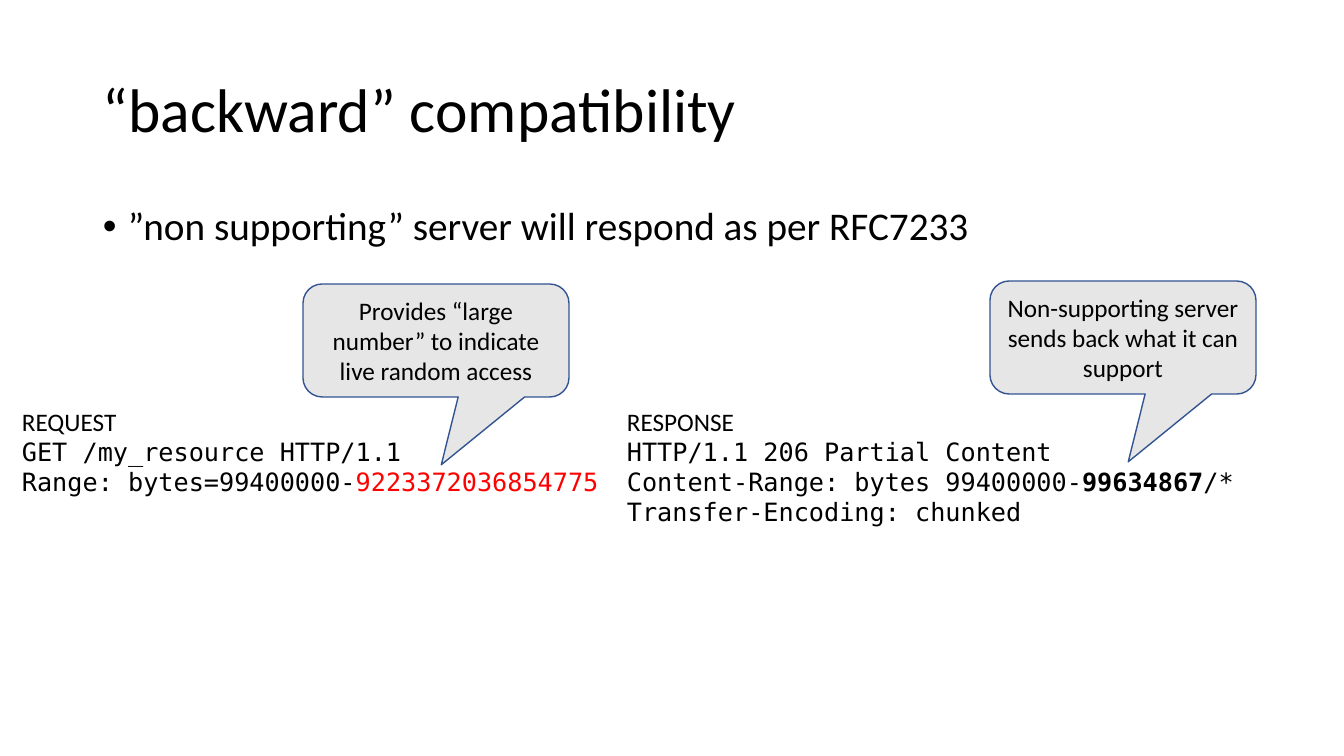
from dataclasses import dataclass

from lxml import etree
from pptx import Presentation
from pptx.dml.color import RGBColor
from pptx.enum.shapes import MSO_SHAPE
from pptx.enum.text import MSO_ANCHOR, PP_ALIGN
from pptx.oxml.ns import qn
from pptx.util import Pt

CALLOUT = MSO_SHAPE.ROUNDED_RECTANGULAR_CALLOUT
MIDDLE, TOP = MSO_ANCHOR.MIDDLE, MSO_ANCHOR.TOP
LEFT, CENTER = PP_ALIGN.LEFT, PP_ALIGN.CENTER
PX = 12192000 / 1344


@dataclass(frozen=True)
class Theme:
    sans: str = "Calibri"
    mono: str = "DejaVu Sans Mono"
    text: str = "000000"
    highlight: str = "FF0000"
    callout_fill: str = "E7E6E6"
    callout_line: str = "325491"
    title_size: int = 44
    bullet_size: int = 28
    body_size: int = 18


THEME = Theme()


def px(n):
    return round(n * PX)


def write(p, text, size=THEME.body_size, font=THEME.sans, color=THEME.text,
          bold=False, align=LEFT, spacing=1.0):
    """Append a formatted run to paragraph p and set the paragraph's layout."""
    p.alignment, p.line_spacing = align, spacing
    r = p.add_run()
    r.text = text
    r.font.name, r.font.size, r.font.bold = font, Pt(size), bold
    r.font.color.rgb = RGBColor.from_string(color)


prs = Presentation()
prs.slide_width, prs.slide_height = px(1344), px(756)
s = prs.slides.add_slide(prs.slide_layouts[6])

# Text frames
frames = []
for box, anchor in [((93, 40, 1159, 146), MIDDLE),
                    ((93, 202, 1159, 480), TOP),
                    ((12, 401, 1316, 132), TOP)]:
    tf = s.shapes.add_textbox(*map(px, box)).text_frame
    tf.word_wrap, tf.vertical_anchor = True, anchor
    frames.append(tf)
title, body, exchange = frames

write(title.paragraphs[0], "“backward” compatibility",
      size=THEME.title_size, spacing=0.9)

# Bullet
p = body.paragraphs[0]
write(p, "”non supporting” server will respond as per RFC7233",
      size=THEME.bullet_size, spacing=0.9)
p.space_before = Pt(10)
pPr = p._p.get_or_add_pPr()
pPr.set("marL", str(px(25)))
pPr.set("indent", str(px(-25)))
etree.SubElement(pPr, qn("a:buFont"), typeface="Arial")
etree.SubElement(pPr, qn("a:buChar"), char="•")

# Request and response, in two columns split by a tab stop
mono = {"font": THEME.mono}
exchange_lines = [
    [("REQUEST\tRESPONSE", {})],
    [("GET /my_resource HTTP/1.1\tHTTP/1.1 206 Partial Content", mono)],
    [("Range: bytes=99400000-", mono),
     ("9223372036854775", {**mono, "color": THEME.highlight}),
     ("\tContent-Range: bytes 99400000-", mono),
     ("99634867", {**mono, "bold": True}),
     ("/*", mono)],
    [("\tTransfer-Encoding: chunked", mono)],
]
for i, runs in enumerate(exchange_lines):
    p = exchange.add_paragraph() if i else exchange.paragraphs[0]
    for text, fmt in runs:
        write(p, text, **fmt)
    tabs = etree.SubElement(p._p.get_or_add_pPr(), qn("a:tabLst"))
    etree.SubElement(tabs, qn("a:tab"), pos=str(px(605)), algn="l")

# Callouts
for x, y, text in [
    (303, 284, "Provides “large number” to indicate live random access"),
    (990, 281, "Non-supporting server sends back what it can support"),
]:
    sp = s.shapes.add_shape(CALLOUT, px(x), px(y), px(266), px(113))
    sp.shadow.inherit = False
    for i, value in enumerate((0.02, 1.1, 0.17)):
        sp.adjustments[i] = value
    sp.fill.solid()
    sp.fill.fore_color.rgb = RGBColor.from_string(THEME.callout_fill)
    sp.line.color.rgb = RGBColor.from_string(THEME.callout_line)
    sp.line.width = Pt(1)
    tf = sp.text_frame
    tf.word_wrap, tf.vertical_anchor = True, MIDDLE
    write(tf.paragraphs[0], text, align=CENTER)

prs.save("out.pptx")
